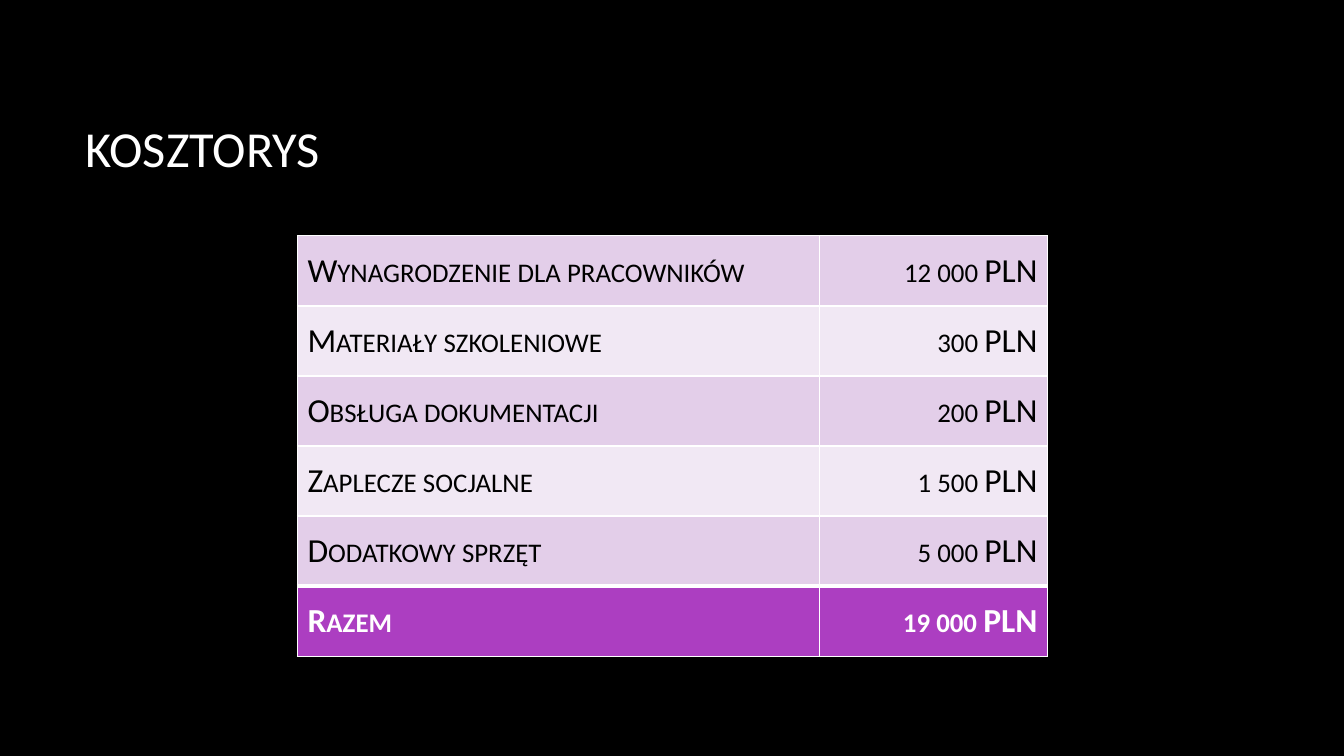
from lxml import etree
from pptx import Presentation
from pptx import util as u
from pptx.dml.color import RGBColor
from pptx.enum import text
from pptx.oxml.ns import qn

FONT = "Calibri"
WHITE, BLACK = "FFFFFF", "000000"
BANDS, TOTAL_FILL = ("E3CEE9", "F1E8F4"), "AC3EC1"
COSTS = [
    ("Wynagrodzenie dla pracowników", "12 000 PLN"),
    ("Materiały szkoleniowe", "300 PLN"),
    ("Obsługa dokumentacji", "200 PLN"),
    ("Zaplecze socjalne", "1 500 PLN"),
    ("Dodatkowy sprzęt", "5 000 PLN"),
    ("Razem", "19 000 PLN"),
]


def paint(fill, color):
    """Fill an area with one solid colour."""
    fill.solid()
    fill.fore_color.rgb = RGBColor.from_string(color)


def write(frame, words, size, color, align="LEFT", bold=False, small_caps=False):
    """Put one formatted paragraph into a text frame."""
    para = frame.paragraphs[0]
    para.alignment = text.PP_ALIGN[align]
    span = para.add_run()
    span.text = words
    span.font.name, span.font.size, span.font.bold = FONT, u.Pt(size), bold
    paint(span.font.fill, color)
    if small_caps:
        span.font._element.set("cap", "small")


def draw_borders(cell, color, **widths):
    """Draw the cell's borders, with a width in points for each side."""
    properties = cell._tc.get_or_add_tcPr()
    for side in "LRTB":
        line = etree.SubElement(properties, qn(f"a:ln{side}"), w=str(u.Pt(widths.get(side, 1))))
        solid = etree.SubElement(line, qn("a:solidFill"))
        etree.SubElement(solid, qn("a:srgbClr"), val=color)


def add_title(page, words, left, top, width, height):
    """Place and format the slide title."""
    title = page.shapes.title
    title.left, title.top = u.Inches(left), u.Inches(top)
    title.width, title.height = u.Inches(width), u.Inches(height)
    title.text_frame.vertical_anchor = text.MSO_ANCHOR.MIDDLE
    write(title.text_frame, words, 36, WHITE)


def add_cost_table(page, costs, left, top, width, height, label_width):
    """Draw the banded cost table with an emphasised total row."""
    box = [u.Inches(length) for length in (left, top, width, height)]
    table = page.shapes.add_table(len(costs), 2, *box).table
    table.first_row = table.horz_banding = False
    table.columns[0].width = u.Inches(label_width)
    table.columns[1].width = u.Inches(width - label_width)
    last = len(costs) - 1
    for row, cost in enumerate(costs):
        total = row == last
        for column, words in enumerate(cost):
            cell = table.cell(row, column)
            cell.vertical_anchor = text.MSO_ANCHOR.MIDDLE
            draw_borders(cell, WHITE, T=3 if total else 1, B=3 if row == last - 1 else 1)
            paint(cell.fill, TOTAL_FILL if total else BANDS[row % 2])
            write(cell.text_frame, words, 24, WHITE if total else BLACK,
                  align="RIGHT" if column else "LEFT", bold=total, small_caps=True)


def main():
    """Build the cost estimate slide."""
    deck = Presentation()
    deck.slide_width, deck.slide_height = u.Inches(13.33), u.Inches(7.5)
    page = deck.slides.add_slide(deck.slide_layouts[5])
    paint(page.background.fill, BLACK)
    add_title(page, "KOSZTORYS", 0.75, 0.67, 11.08, 1.59)
    add_cost_table(page, COSTS, 2.95, 2.34, 7.44, 4.17, label_width=5.18)
    deck.save("out.pptx")


if __name__ == "__main__":
    main()
